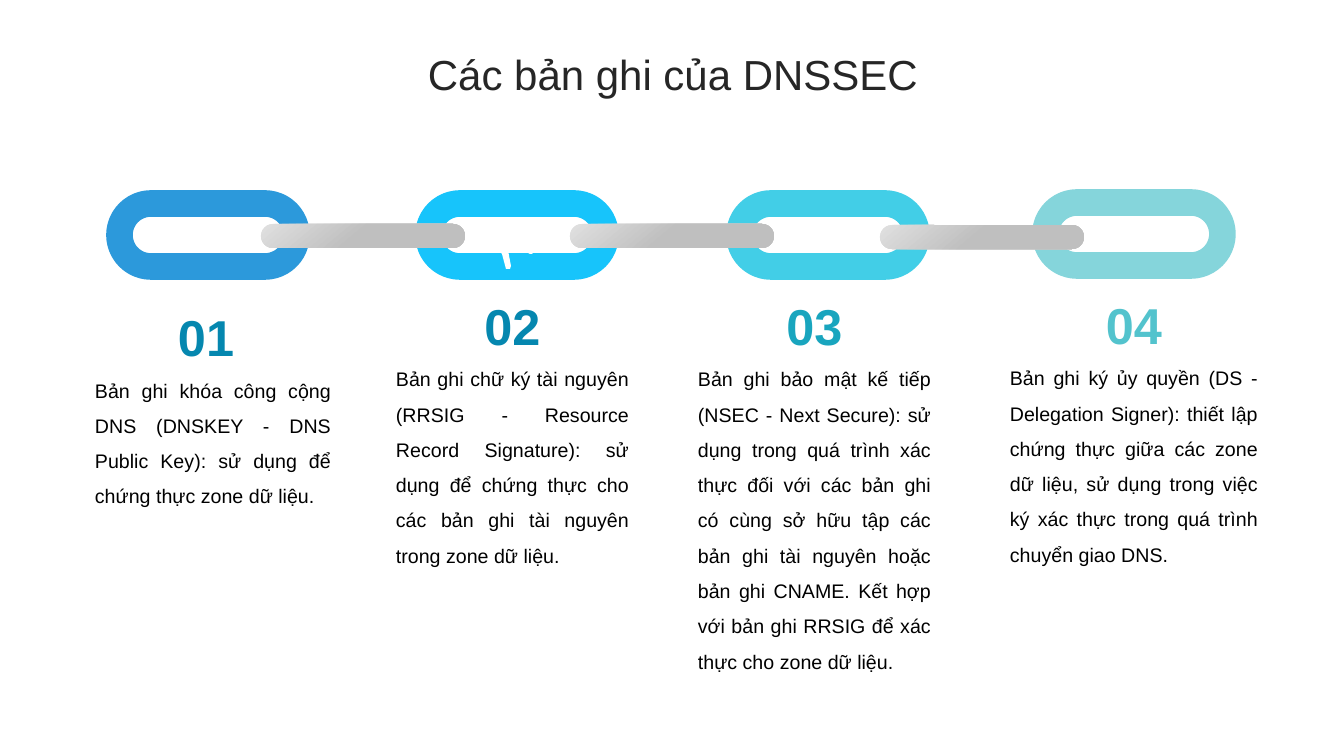
from pptx import Presentation
from pptx.dml.color import RGBColor
from pptx.enum.shapes import MSO_SHAPE
from pptx.enum.text import MSO_ANCHOR, MSO_AUTO_SIZE, PP_ALIGN
from pptx.util import Pt

EMU_PER_PX = 914400 / 100.8
FONT = "Arial"
ROUNDED = MSO_SHAPE.ROUNDED_RECTANGLE
CENTER, JUSTIFY = PP_ALIGN.CENTER, PP_ALIGN.JUSTIFY
MIDDLE = MSO_ANCHOR.MIDDLE
GROW = MSO_AUTO_SIZE.SHAPE_TO_FIT_TEXT

TITLE = "Các bản ghi của DNSSEC"

# Ring centre and colour
RINGS = [
    (208, 235, "2C99DB"),
    (517, 235, "17C4FB"),
    (828, 235, "42CEE7"),
    (1134, 234, "85D5DB"),
]
RING_SIZE = (177, 63)

# Centre of each bar that joins two rings
BARS = [(363, 236), (672, 236), (982, 237)]
BAR_SIZE = (204, 24)

# Box, number, number colour, number line spacing, description
RECORDS = [
    ((85, 271, 256, 305), "01 ", "0587AF", 1.5,
     "Bản ghi khóa công cộng DNS (DNSKEY - DNS Public Key): "
     "sử dụng để chứng thực zone dữ liệu."),
    ((386, 290, 253, 346), "02", "0587AF", 1.0,
     "Bản ghi chữ ký tài nguyên (RRSIG - Resource Record Signature): "
     "sử dụng để chứng thực cho các bản ghi tài nguyên trong zone dữ liệu."),
    ((688, 290, 253, 453), "03", "19A5BE", 1.0,
     "Bản ghi bảo mật kế tiếp (NSEC - Next Secure): sử dụng trong quá trình "
     "xác thực đối với các bản ghi có cùng sở hữu tập các bản ghi tài nguyên "
     "hoặc bản ghi CNAME. Kết hợp với bản ghi RRSIG để xác thực cho zone dữ liệu."),
    ((1000, 289, 268, 280), "04", "53C3CD", 1.0,
     "Bản ghi ký ủy quyền (DS - Delegation Signer): thiết lập chứng thực giữa "
     "các zone dữ liệu, sử dụng trong việc ký xác thực trong quá trình "
     "chuyển giao DNS."),
]

# Outlines of the megaphone, relative to its top left corner
MEGAPHONE = [
    [(12, 22), (12, 23), (15, 39), (14, 42), (10, 42), (6, 27), (4, 25), (3, 22)],
    [(39, 9), (44, 12), (44, 16), (39, 19)],
    [(2, 7), (12, 7), (12, 20), (2, 20), (0, 18), (0, 9)],
    [(31, 2), (31, 25), (13, 20), (13, 7)],
    [(34, 0), (36, 0), (37, 1), (37, 26), (36, 27), (34, 27), (32, 26), (32, 1)],
]


def px(length):
    return round(length * EMU_PER_PX)


def color(hex_text):
    return RGBColor.from_string(hex_text)


def add_text(paragraph, text, size, hex_text, alignment, spacing, bold=False):
    paragraph.alignment = alignment
    paragraph.line_spacing = spacing
    run = paragraph.add_run()
    run.text = text
    run.font.name = FONT
    run.font.size = Pt(size)
    run.font.bold = bold
    run.font.color.rgb = color(hex_text)


def add_title(slide, box):
    title = slide.shapes.title
    title.left, title.top, title.width, title.height = map(px, box)
    title.text_frame.vertical_anchor = MIDDLE
    add_text(title.text_frame.paragraphs[0], TITLE, 30, "262626", CENTER, 0.9)


def add_pill(slide, center_x, center_y, size):
    width, height = size
    pill = slide.shapes.add_shape(
        ROUNDED, px(center_x - width / 2), px(center_y - height / 2),
        px(width), px(height))
    pill.adjustments[0] = 0.5
    pill.shadow.inherit = False
    return pill


def add_ring(slide, center_x, center_y, hex_text):
    ring = add_pill(slide, center_x, center_y, RING_SIZE)
    ring.fill.background()
    ring.line.color.rgb = color(hex_text)
    ring.line.width = Pt(19)


def add_bar(slide, center_x, center_y):
    bar = add_pill(slide, center_x, center_y, BAR_SIZE)
    bar.line.fill.background()
    bar.fill.gradient()
    bar.fill.gradient_angle = 310
    stops = [(0, "E0E0E0"), (0.48, "BFBFBF")]
    for stop, (position, hex_text) in zip(bar.fill.gradient_stops, stops):
        stop.position = position
        stop.color.rgb = color(hex_text)


def add_megaphone(slide, left, top):
    first, *others = MEGAPHONE
    builder = slide.shapes.build_freeform(*first[0], scale=EMU_PER_PX)
    builder.add_line_segments(first[1:], close=True)
    for outline in others:
        builder.move_to(*outline[0])
        builder.add_line_segments(outline[1:], close=True)
    megaphone = builder.convert_to_shape(px(left), px(top))
    megaphone.shadow.inherit = False
    megaphone.fill.solid()
    megaphone.fill.fore_color.rgb = color("FFFFFF")
    megaphone.line.fill.background()


def add_record(slide, box, number, hex_text, spacing, description):
    text_frame = slide.shapes.add_textbox(*map(px, box)).text_frame
    text_frame.word_wrap = True
    text_frame.auto_size = GROW
    add_text(text_frame.paragraphs[0], number, 36, hex_text, CENTER, spacing, True)
    add_text(text_frame.add_paragraph(), description, 14, "000000", JUSTIFY, 1.5)


def main():
    presentation = Presentation()
    presentation.slide_width = px(1344)
    presentation.slide_height = px(756)
    slide = presentation.slides.add_slide(presentation.slide_layouts[5])

    add_title(slide, (35, 37, 1276, 80))

    # Chain: rings behind, bars in front
    for ring in RINGS:
        add_ring(slide, *ring)
    for bar in BARS:
        add_bar(slide, *bar)
    add_megaphone(slide, 496, 227)

    # Numbered descriptions
    for record in RECORDS:
        add_record(slide, *record)

    presentation.save("out.pptx")


if __name__ == "__main__":
    main()
